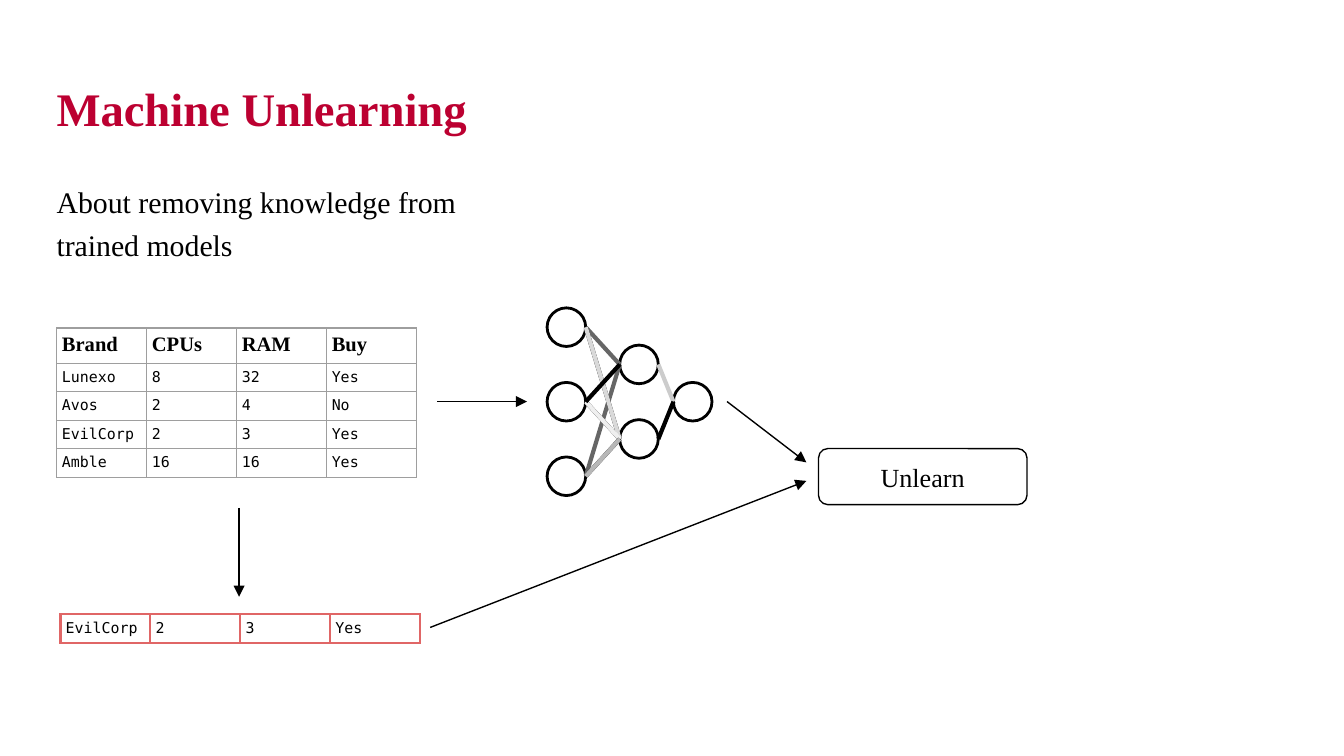
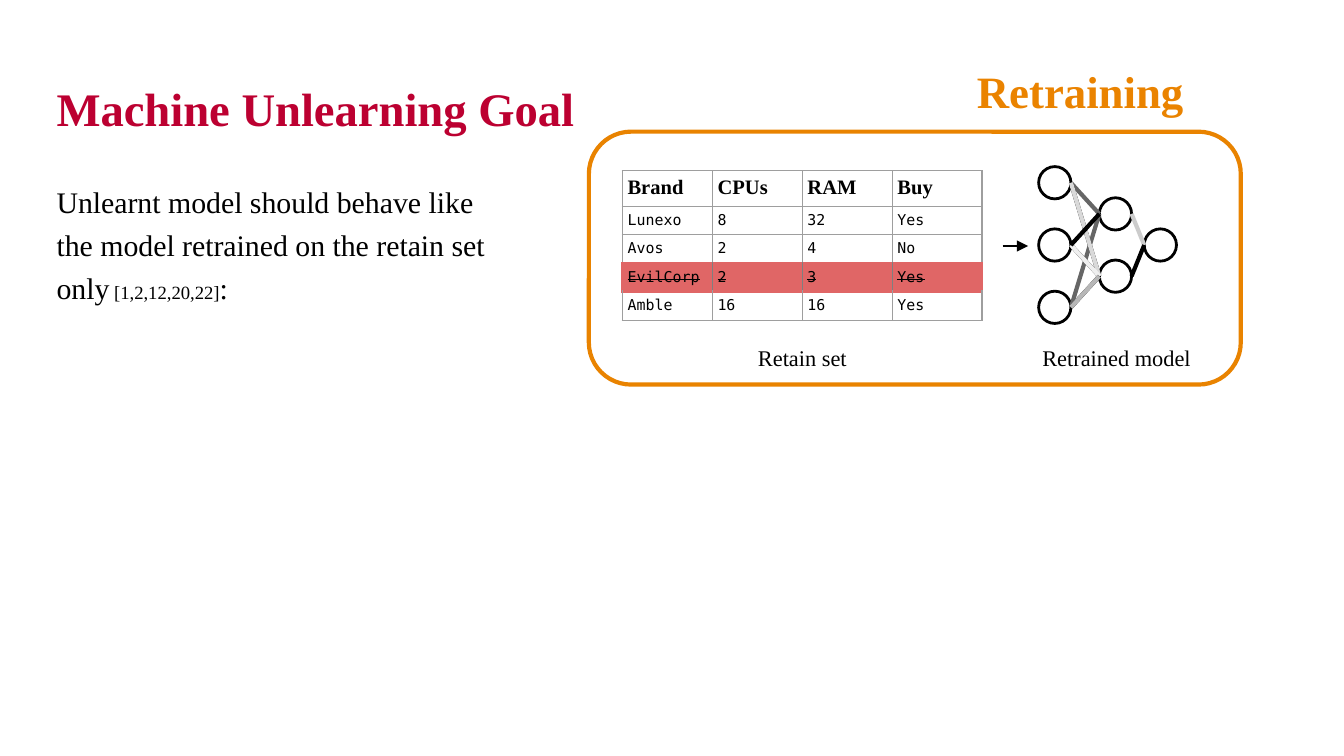
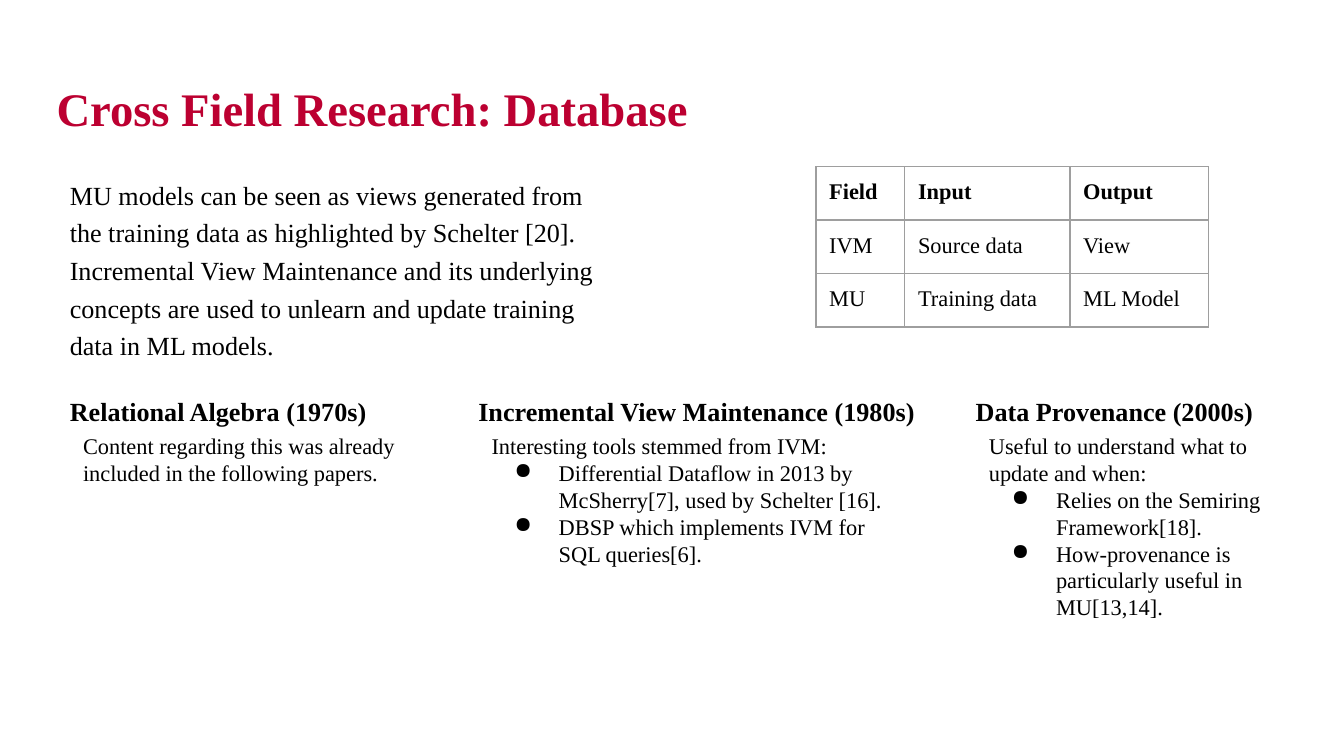
from dataclasses import dataclass
from typing import Any, Optional, Sequence

import pptx
import pptx.dml.color
import pptx.enum.shapes
import pptx.enum.text
import pptx.oxml.ns
import pptx.util
from lxml import etree

Cm, Pt = pptx.util.Cm, pptx.util.Pt
ALIGN = pptx.enum.text.PP_ALIGN
ANCHOR = pptx.enum.text.MSO_ANCHOR
SHAPE = pptx.enum.shapes.MSO_SHAPE
qn = pptx.oxml.ns.qn

CRIMSON, ORANGE, RED = "BC0031", "E98300", "E06666"
BLACK, WHITE, GRID, DARK_GRID = "000000", "FFFFFF", "9E9E9E", "7F7F7F"
SERIF, MONO = "Times New Roman", "DejaVu Sans Mono"


@dataclass(frozen=True)
class Box:
    """A place on the slide, in centimetres."""
    left: float
    top: float
    width: float
    height: float

    def lengths(self) -> tuple:
        return Cm(self.left), Cm(self.top), Cm(self.width), Cm(self.height)


@dataclass(frozen=True)
class Style:
    size: float
    color: str = BLACK
    bold: bool = False
    font: str = SERIF
    strike: bool = False


@dataclass(frozen=True)
class TextLayout:
    spacing: Optional[float] = 1.2
    align: Any = ALIGN.LEFT
    anchor: Any = ANCHOR.TOP
    inset: float = 0
    grow: bool = False


@dataclass(frozen=True)
class Border:
    color: str
    width: float


@dataclass(frozen=True)
class Edge:
    start: int
    end: int
    color: str


@dataclass(frozen=True)
class Topic:
    heading: str
    lead: str
    points: tuple
    left: float
    heading_width: float
    text_width: float
    text_height: float


TITLE_BOX = Box(1.07, 1.19, 23.24, 1.83)
TITLE = Style(25, CRIMSON, True)
TITLE_LAYOUT = TextLayout(spacing=0.9, anchor=ANCHOR.MIDDLE)
BODY = Style(16)
CAPTION = Style(12)
CENTERED = TextLayout(align=ALIGN.CENTER)
SAMPLE_HEADER = Style(11, bold=True)
SAMPLE_VALUE = Style(8, font=MONO)

GRID_LINE, FORGET_LINE = Border(GRID, 0.75), Border(RED, 1.5)
FORGET_ROW = 3
SAMPLES = [
    ("Brand", "CPUs", "RAM", "Buy"),
    ("Lunexo", "8", "32", "Yes"),
    ("Avos", "2", "4", "No"),
    ("EvilCorp", "2", "3", "Yes"),
    ("Amble", "16", "16", "Yes"),
]
SAMPLE_COLUMNS = [1.7] * 4
SAMPLE_ROW = 0.53

# Neurons as (across, down) in diameters: three inputs, two hidden, one output
ROW_GAP, HIDDEN_X, OUTPUT_X = 1.93, 1.88, 3.27
NEURONS = (
    [(0, i * ROW_GAP) for i in range(3)]
    + [(HIDDEN_X, (i + 0.5) * ROW_GAP) for i in range(2)]
    + [(OUTPUT_X, ROW_GAP)]
)
EDGES = [
    Edge(0, 3, "666666"), Edge(1, 4, BLACK), Edge(2, 3, "666666"),
    Edge(0, 4, BLACK), Edge(0, 4, "D9D9D9"), Edge(1, 4, "EFEFEF"),
    Edge(2, 4, BLACK), Edge(2, 4, "B7B7B7"), Edge(1, 3, BLACK),
    Edge(3, 5, "CCCCCC"), Edge(4, 5, BLACK),
]

FIELDS = [
    ("Field", "Input", "Output"),
    ("IVM", "Source data", "View"),
    ("MU", "Training data", "ML Model"),
]
TOPICS = [
    Topic("Relational Algebra (1970s)",
          "Content regarding this was already included in the following papers.",
          (), 1.32, 6.12, 6.99, 1.55),
    Topic("Incremental View Maintenance (1980s)",
          "Interesting tools stemmed from IVM:",
          ("Differential Dataflow in 2013 by McSherry[7], used by Schelter [16].",
           "DBSP which implements IVM for SQL queries[6]."),
          9.04, 8.66, 8.38, 3.07),
    Topic("Data Provenance (2000s)",
          "Useful to understand what to update and when:",
          ("Relies on the Semiring Framework[18].",
           "How-provenance is particularly useful in MU[13,14]."),
          18.44, 6.43, 6.58, 4.11),
]


def rgb(color: str) -> pptx.dml.color.RGBColor:
    return pptx.dml.color.RGBColor.from_string(color)


def apply_style(paragraph, style: Style) -> None:
    font = paragraph.font
    font.name, font.size, font.bold = style.font, Pt(style.size), style.bold
    font.color.rgb = rgb(style.color)
    if style.strike:
        for run in paragraph.runs:
            run.font._element.set("strike", "sngStrike")


def add_bullet(paragraph) -> None:
    properties = paragraph._p.get_or_add_pPr()
    properties.set("marL", str(Cm(1.27)))
    properties.set("indent", str(-Cm(0.84)))
    color = etree.SubElement(properties, qn("a:buClr"))
    etree.SubElement(color, qn("a:srgbClr"), val=BLACK)
    etree.SubElement(properties, qn("a:buChar"), char="●")


def set_insets(frame, inset: float) -> None:
    frame.margin_left = frame.margin_right = Cm(inset)
    frame.margin_top = frame.margin_bottom = Cm(inset)


def add_text(slide, box: Box, texts: Sequence[str], style: Style,
             layout: TextLayout = TextLayout(), bullets_from: Optional[int] = None):
    """Write one paragraph per text, bulleted from the given index on."""
    frame = slide.shapes.add_textbox(*box.lengths()).text_frame
    frame.word_wrap = True
    frame.vertical_anchor = layout.anchor
    if layout.grow:
        frame.auto_size = pptx.enum.text.MSO_AUTO_SIZE.SHAPE_TO_FIT_TEXT
    set_insets(frame, layout.inset)
    for index, text in enumerate(texts):
        paragraph = frame.add_paragraph() if index else frame.paragraphs[0]
        paragraph.add_run().text = text
        paragraph.alignment = layout.align
        if layout.spacing:
            paragraph.line_spacing = layout.spacing
        if bullets_from is not None and index >= bullets_from:
            add_bullet(paragraph)
        apply_style(paragraph, style)
    return frame


def add_outline(slide, preset, box: Box, border: Border, fill: Optional[str] = WHITE):
    shape = slide.shapes.add_shape(preset, *box.lengths())
    shape.shadow.inherit = False
    if fill:
        shape.fill.solid()
        shape.fill.fore_color.rgb = rgb(fill)
    else:
        shape.fill.background()
    shape.line.color.rgb = rgb(border.color)
    shape.line.width = Pt(border.width)
    return shape


def add_line(slide, start: tuple, end: tuple, border: Border, arrow: bool = False) -> None:
    connector = slide.shapes.add_connector(
        pptx.enum.shapes.MSO_CONNECTOR.STRAIGHT, *(Cm(v) for v in (*start, *end)))
    connector.line.color.rgb = rgb(border.color)
    connector.line.width = Pt(border.width)
    if arrow:
        etree.SubElement(connector.line._get_or_add_ln(), qn("a:tailEnd"), type="triangle")
    etree.SubElement(connector._element.spPr, qn("a:effectLst"))


def add_arrow(slide, start: tuple, end: tuple) -> None:
    add_line(slide, start, end, Border(BLACK, 0.75), arrow=True)


def add_network(slide, left: float, top: float, diameter: float) -> None:
    places = [(left + x * diameter, top + y * diameter) for x, y in NEURONS]
    for x, y in places:
        add_outline(slide, SHAPE.OVAL, Box(x, y, diameter, diameter), Border(BLACK, 1.5))
    for edge in EDGES:
        (x1, y1), (x2, y2) = places[edge.start], places[edge.end]
        add_line(slide, (x1 + diameter, y1 + diameter / 2), (x2, y2 + diameter / 2),
                 Border(edge.color, 2.25))


def set_borders(cell, borders: dict) -> None:
    properties = cell._tc.get_or_add_tcPr()
    for side in "LRTB":
        line = etree.SubElement(properties, qn(f"a:ln{side}"),
                                w=str(Pt(borders[side].width)))
        fill = etree.SubElement(line, qn("a:solidFill"))
        etree.SubElement(fill, qn("a:srgbClr"), val=borders[side].color)


def cell_borders(row: int, column: int, last_column: int, base: Border,
                 struck_row: Optional[int]) -> dict:
    borders = dict.fromkeys("LRTB", base)
    if struck_row is None:
        return borders
    if row == struck_row:
        inner = Border(DARK_GRID, 0.75)
        return {"L": inner if column else FORGET_LINE,
                "R": inner if column < last_column else FORGET_LINE,
                "T": FORGET_LINE, "B": FORGET_LINE}
    if row == struck_row - 1:
        borders["B"] = FORGET_LINE
    elif row == struck_row + 1:
        borders["T"] = FORGET_LINE
    return borders


def add_grid(slide, left: float, top: float, columns: Sequence[float], row_height: float,
             rows: Sequence[tuple], value: Style, header: Optional[Style] = None,
             border: Border = GRID_LINE, inset: float = 0.1,
             struck_row: Optional[int] = None) -> None:
    box = Box(left, top, sum(columns), row_height * len(rows))
    table = slide.shapes.add_table(len(rows), len(columns), *box.lengths()).table
    table.first_row = table.horz_banding = False
    for column, width in zip(table.columns, columns):
        column.width = Cm(width)
    struck = Style(value.size, value.color, value.bold, value.font, strike=True)
    for r, texts in enumerate(rows):
        table.rows[r].height = Cm(row_height)
        style = header if header and r == 0 else struck if r == struck_row else value
        for c, text in enumerate(texts):
            cell = table.cell(r, c)
            cell.text = text
            set_insets(cell, inset)
            set_borders(cell, cell_borders(r, c, len(columns) - 1, border, struck_row))
            if r == struck_row:
                cell.fill.solid()
                cell.fill.fore_color.rgb = rgb(RED)
            else:
                cell.fill.background()
            apply_style(cell.text_frame.paragraphs[0], style)


def add_samples(slide, left: float, top: float, struck_row: Optional[int] = None) -> None:
    add_grid(slide, left, top, SAMPLE_COLUMNS, SAMPLE_ROW, SAMPLES, SAMPLE_VALUE,
             SAMPLE_HEADER, struck_row=struck_row)


def add_titled_slide(deck, title: str):
    slide = deck.slides.add_slide(deck.slide_layouts[6])
    add_text(slide, TITLE_BOX, [title], TITLE, TITLE_LAYOUT)
    return slide


def build_unlearning(deck) -> None:
    slide = add_titled_slide(deck, "Machine Unlearning")
    add_text(slide, Box(1.07, 3.33, 8.18, 1.83),
             ["About removing knowledge from trained models"], BODY)
    add_arrow(slide, (8.26, 7.59), (9.96, 7.59))
    add_network(slide, 10.34, 5.82, 0.73)

    unlearn = add_outline(slide, SHAPE.ROUNDED_RECTANGLE, Box(15.47, 8.48, 3.94, 1.06),
                          Border(BLACK, 0.75))
    frame = unlearn.text_frame
    frame.text = "Unlearn"
    frame.vertical_anchor = ANCHOR.MIDDLE
    set_insets(frame, 0.25)
    frame.paragraphs[0].alignment = ALIGN.CENTER
    apply_style(frame.paragraphs[0], Style(14))

    add_arrow(slide, (13.74, 7.59), (15.24, 8.74))
    add_arrow(slide, (8.13, 11.86), (15.24, 9.09))
    add_grid(slide, 1.14, 11.61, SAMPLE_COLUMNS, SAMPLE_ROW, [SAMPLES[FORGET_ROW]],
             SAMPLE_VALUE, border=FORGET_LINE)
    add_arrow(slide, (4.52, 9.6), (4.52, 11.28))
    add_samples(slide, 1.07, 6.2)


def build_goal(deck) -> None:
    slide = add_titled_slide(deck, "Machine Unlearning Goal")
    goal = add_text(
        slide, Box(1.07, 3.33, 8.36, 2.57),
        ["Unlearnt model should behave like the model retrained on the retain set only"],
        BODY).paragraphs[0]
    citation = goal.add_run()
    citation.text = " [1,2,12,20,22]"
    citation.font.size = Pt(10)
    goal.add_run().text = ":"

    add_arrow(slide, (18.95, 4.65), (19.43, 4.65))
    add_network(slide, 19.63, 3.15, 0.61)
    add_samples(slide, 11.76, 3.23, FORGET_ROW)
    add_outline(slide, SHAPE.ROUNDED_RECTANGLE, Box(11.13, 2.49, 12.32, 4.78),
                Border(ORANGE, 2.25), fill=None)
    add_text(slide, Box(17.81, 0.86, 5.21, 1.83), ["Retraining"],
             Style(24, "EA8300", True),
             TextLayout(spacing=0.9, align=ALIGN.CENTER, anchor=ANCHOR.MIDDLE))
    for left, caption in ((19.43, "Retrained model"), (13.49, "Retain set")):
        add_text(slide, Box(left, 6.4, 3.35, 0.81), [caption], CAPTION, CENTERED)


def build_database(deck) -> None:
    slide = add_titled_slide(deck, "Cross Field Research: Database")
    add_text(slide, Box(1.07, 3.02, 10.62, 3.99), [
        "MU models can be seen as views generated from the training data "
        "as highlighted by Schelter [20].",
        "Incremental View Maintenance and its underlying concepts are used "
        "to unlearn and update training data in ML models.",
    ], Style(14), TextLayout(inset=0.25, grow=True))
    for topic in TOPICS:
        add_text(slide, Box(topic.left, 7.01, topic.heading_width, 1.42), [topic.heading],
                 Style(14, bold=True), TextLayout(anchor=ANCHOR.MIDDLE))
        add_text(slide, Box(topic.left, 7.92, topic.text_width, topic.text_height),
                 [topic.lead, *topic.points], CAPTION,
                 TextLayout(spacing=None, inset=0.25, grow=True), bullets_from=1)
    add_grid(slide, 15.42, 3.15, [1.68, 3.12, 2.62], 1.01, FIELDS, CAPTION,
             Style(12, bold=True), inset=0.25)


def main() -> None:
    deck = pptx.Presentation()
    deck.slide_width, deck.slide_height = Cm(25.4), Cm(14.29)
    build_unlearning(deck)
    build_goal(deck)
    build_database(deck)
    deck.save("out.pptx")


if __name__ == "__main__":
    main()
